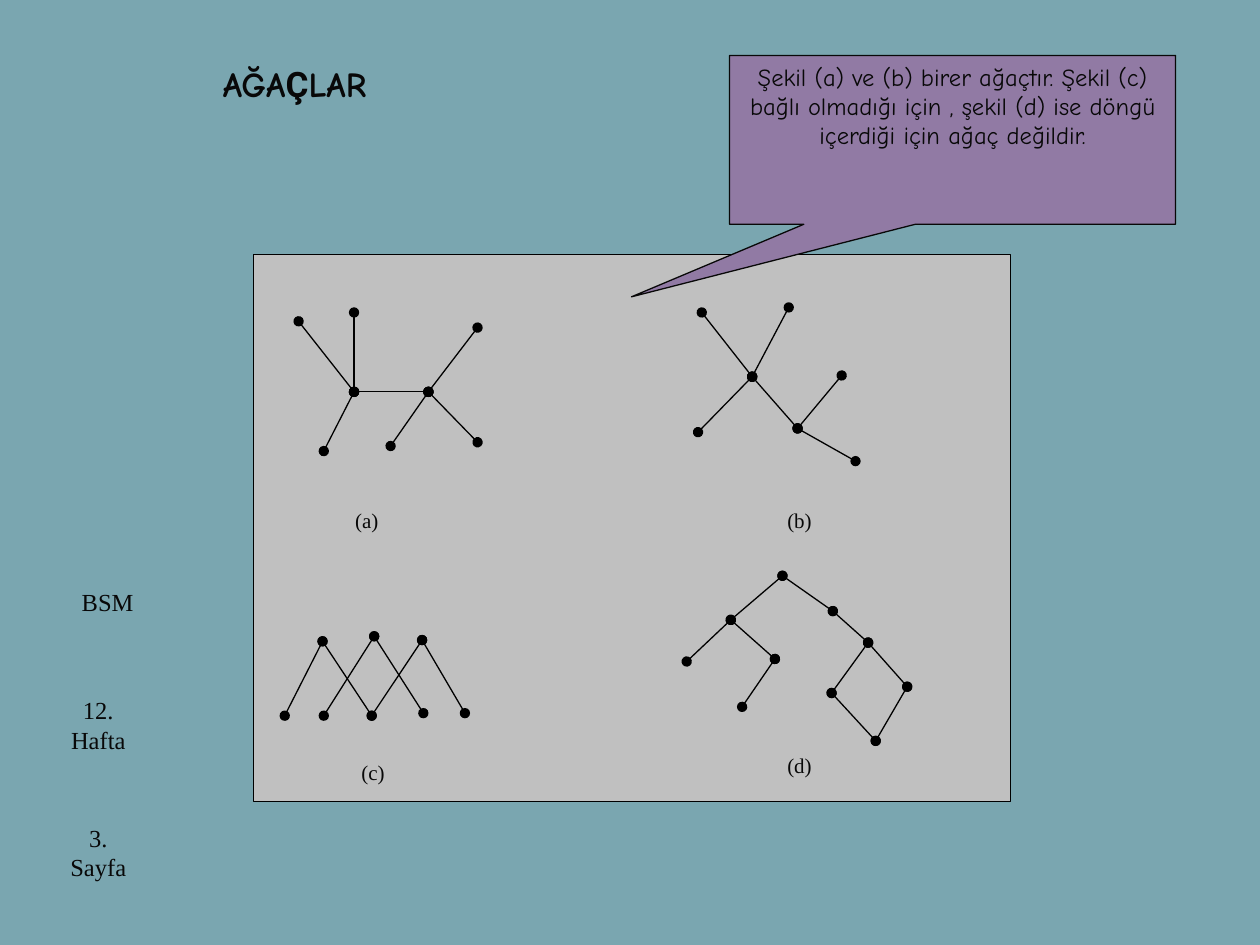
from pptx import Presentation
from pptx.dml.color import RGBColor
from pptx.enum.shapes import MSO_CONNECTOR, MSO_SHAPE
from pptx.enum.text import MSO_ANCHOR, PP_ALIGN
from pptx.oxml.ns import qn
from pptx.util import Inches, Pt
from lxml import etree

RECTANGLE = MSO_SHAPE.RECTANGLE
CALLOUT = MSO_SHAPE.RECTANGULAR_CALLOUT
STRAIGHT = MSO_CONNECTOR.STRAIGHT
TOP, MIDDLE = MSO_ANCHOR.TOP, MSO_ANCHOR.MIDDLE
LEFT, CENTER = PP_ALIGN.LEFT, PP_ALIGN.CENTER

COLUMNS, ROWS = 100, 75
SLIDE_WIDTH, SLIDE_HEIGHT = Inches(10), Inches(7.5)
COLORS = {
    "background": "7AA6B0",
    "panel": "C0C0C0",
    "callout": "917AA4",
    "edge": "000000",
    "text": "080808",
}
SERIF, COMIC, SANS = "Times New Roman", "Comic Neue", "Roboto"

GRAPHS = [
    {
        "label": ("(a)", 27.2, 39.8),
        "vertices": {
            "hub": (28.1, 31.1), "second hub": (34, 31.1),
            "upper left": (23.7, 25.5), "top": (28.1, 24.8),
            "upper right": (37.9, 26), "lower right": (37.9, 35.1),
            "bottom": (31, 35.4), "lower left": (25.7, 35.8),
        },
        "edges": [
            ("hub", "upper left"), ("hub", "top"), ("hub", "lower left"),
            ("hub", "second hub"), ("second hub", "upper right"),
            ("second hub", "lower right"), ("second hub", "bottom"),
        ],
    },
    {
        "label": ("(b)", 61.5, 39.8),
        "vertices": {
            "hub": (59.7, 29.9), "second hub": (63.3, 34),
            "upper left": (55.7, 24.8), "top": (62.6, 24.4),
            "lower left": (55.4, 34.3), "right": (66.8, 29.8),
            "lower right": (67.9, 36.6),
        },
        "edges": [
            ("hub", "upper left"), ("hub", "top"), ("hub", "lower left"),
            ("hub", "second hub"), ("second hub", "right"),
            ("second hub", "lower right"),
        ],
    },
    {
        "label": ("(c)", 27.7, 59.8),
        "vertices": {
            "top 1": (25.6, 50.9), "top 2": (29.7, 50.5), "top 3": (33.5, 50.8),
            "low 1": (22.6, 56.8), "low 2": (25.7, 56.8), "low 3": (29.5, 56.8),
            "low 4": (33.6, 56.6), "low 5": (36.9, 56.6),
        },
        "edges": [
            ("top 1", "low 1"), ("top 1", "low 3"), ("top 2", "low 2"),
            ("top 2", "low 4"), ("top 3", "low 3"), ("top 3", "low 5"),
        ],
    },
    {
        "label": ("(d)", 61.5, 59.2),
        "vertices": {
            "root": (62.1, 45.7), "left": (58, 49.2), "left leaf": (54.5, 52.5),
            "inner": (61.5, 52.3), "inner leaf": (58.9, 56.1),
            "right": (66.1, 48.5), "cycle top": (68.9, 51),
            "cycle left": (66, 55), "cycle bottom": (69.5, 58.8),
            "cycle right": (72, 54.5),
        },
        "edges": [
            ("root", "left"), ("left", "left leaf"), ("left", "inner"),
            ("inner", "inner leaf"), ("root", "right"), ("right", "cycle top"),
            ("cycle top", "cycle left"), ("cycle left", "cycle bottom"),
            ("cycle bottom", "cycle right"), ("cycle right", "cycle top"),
        ],
    },
]

FOOTERS = [
    ("BSM", 5.5, 46.1, 6.2, 3.4, LEFT),
    ("12. Hafta", 3.9, 54.7, 7.8, 7, CENTER),
    ("3. Sayfa", 3.9, 64.8, 7.8, 6.2, CENTER),
]


def color(name):
    return RGBColor.from_string(COLORS[name])


def point(column, row):
    return int(SLIDE_WIDTH * column / COLUMNS), int(SLIDE_HEIGHT * row / ROWS)


def write_text(shape, runs, size, align=LEFT, anchor=TOP, bold=False):
    frame = shape.text_frame
    frame.word_wrap = True
    frame.vertical_anchor = anchor
    paragraph = frame.paragraphs[0]
    paragraph.alignment = align
    paragraph.font.size = Pt(size)
    paragraph.font.bold = bold
    paragraph.font.color.rgb = color("text")
    if len(runs) == 1:
        paragraph.font.name = runs[0][1]
    for text, font in runs:
        run = paragraph.add_run()
        run.text = text
        if len(runs) > 1:
            run.font.name = font


def add_text(shapes, box, runs, size, **options):
    text_box = shapes.add_textbox(*point(*box[:2]), *point(*box[2:]))
    write_text(text_box, runs, size, **options)


def add_box(shapes, kind, box, fill, line):
    shape = shapes.add_shape(kind, *point(*box[:2]), *point(*box[2:]))
    shape.shadow.inherit = False
    shape.fill.solid()
    shape.fill.fore_color.rgb = color(fill)
    shape.line.color.rgb = color(line)
    shape.line.width = Pt(0.75)
    return shape


def add_edge(shapes, start, end):
    connector = shapes.add_connector(STRAIGHT, *point(*start), *point(*end))
    connector.line.color.rgb = color("edge")
    connector.line.width = Pt(0.75)
    properties = connector._element.spPr
    line = properties.find(qn("a:ln"))
    for tag in ("a:headEnd", "a:tailEnd"):
        etree.SubElement(line, qn(tag), type="oval")
    etree.SubElement(properties, qn("a:effectLst"))


def add_graph(shapes, graph):
    label, column, row = graph["label"]
    add_text(shapes, (column, row, 4.6, 3.3), [(label, SERIF)], 12)
    for start, end in graph["edges"]:
        add_edge(shapes, graph["vertices"][start], graph["vertices"][end])


def add_callout(shapes):
    callout = add_box(shapes, CALLOUT, (57.9, 4.4, 35.4, 13.4), "callout", "text")
    callout.adjustments[0] = -0.72
    callout.adjustments[1] = 0.93
    message = (
        "Şekil (a) ve (b) birer ağaçtır. Şekil (c) bağlı olmadığı için , "
        "şekil (d) ise döngü içerdiği için ağaç değildir."
    )
    write_text(callout, [(message, COMIC)], 14, align=CENTER)


def main():
    presentation = Presentation()
    presentation.slide_width, presentation.slide_height = SLIDE_WIDTH, SLIDE_HEIGHT
    slide = presentation.slides.add_slide(presentation.slide_layouts[6])
    slide.background.fill.solid()
    slide.background.fill.fore_color.rgb = color("background")

    title = [("AĞA", COMIC), ("Ç", SANS), ("LAR", COMIC)]
    add_text(slide.shapes, (16.7, 0.8, 80.7, 11.7), title, 20, anchor=MIDDLE, bold=True)

    figure = slide.shapes.add_group_shape().shapes
    add_box(figure, RECTANGLE, (20.1, 20.2, 60.1, 43.4), "panel", "edge")
    for graph in GRAPHS:
        add_graph(figure, graph)

    add_callout(slide.shapes)
    for text, column, row, width, height, align in FOOTERS:
        add_text(slide.shapes, (column, row, width, height), [(text, SERIF)], 14, align=align)
    presentation.save("out.pptx")


if __name__ == "__main__":
    main()
